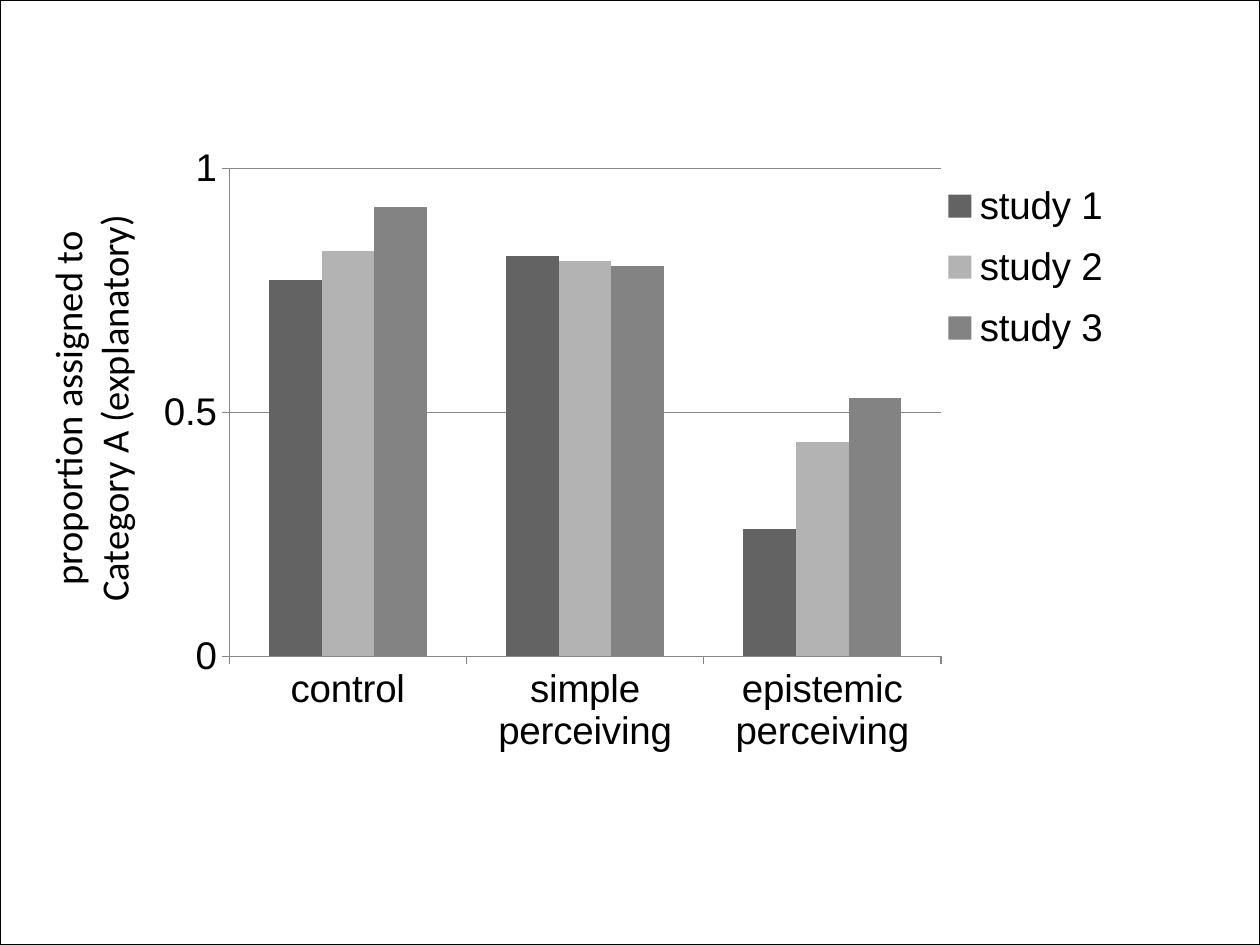
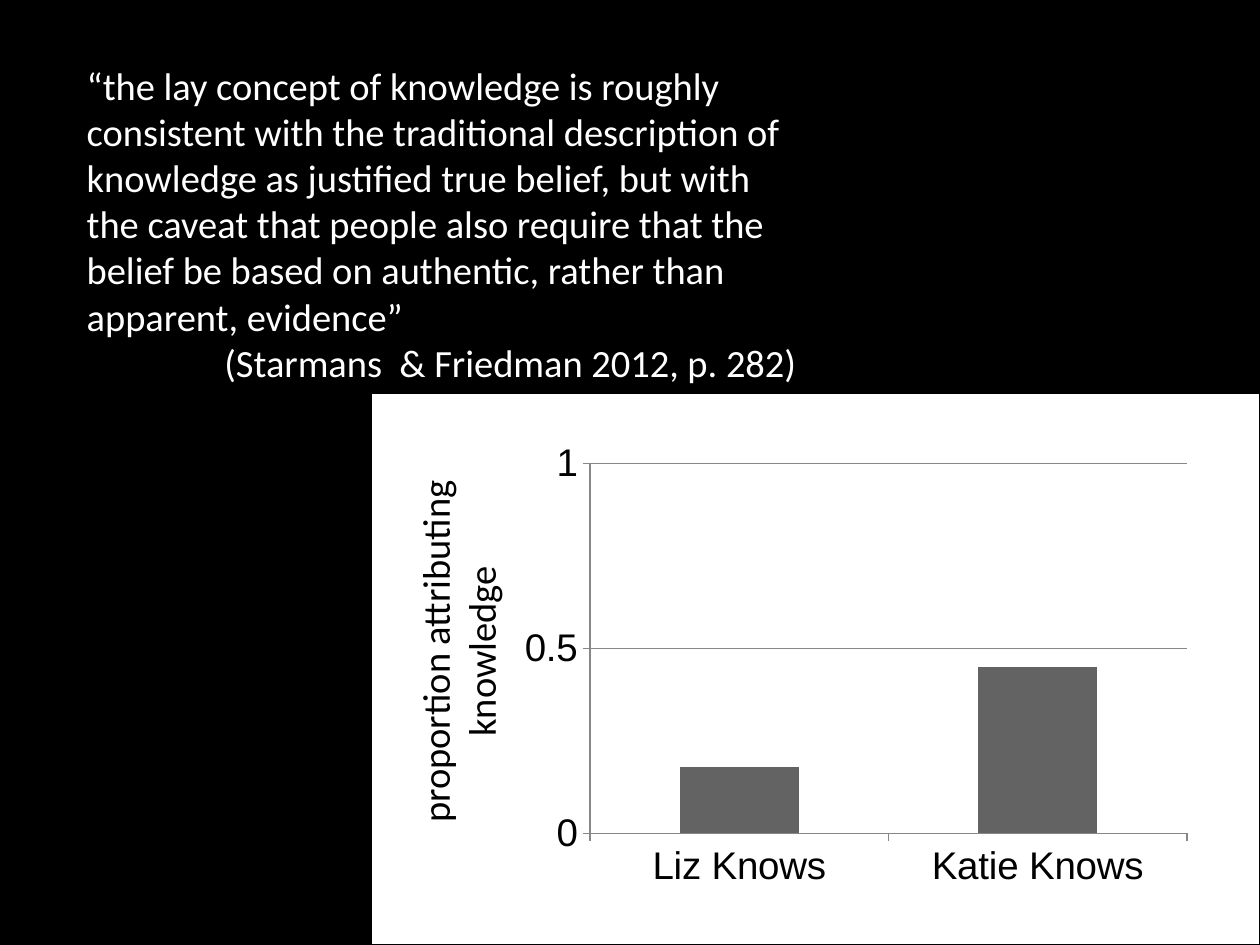
"""Build two slides of column charts on study results about knowledge and perceiving."""
import dataclasses
import typing

import lxml.etree
import pptx
import pptx.chart.data
import pptx.dml.color
import pptx.enum.chart
import pptx.enum.shapes
import pptx.enum.text
import pptx.oxml.ns
import pptx.util

WIDTH, HEIGHT = pptx.util.Inches(10), pptx.util.Inches(7.5)
COLUMNS, ROWS = 100, 75
BLACK, WHITE, AXIS_GRAY = "000000", "FFFFFF", "878787"
SERIES_COLORS = ("636363", "B3B3B3", "838383")
TEXT_SIZE = pptx.util.Pt(22)
TEXT_FONT, CHART_FONT = "Calibri", "Arial"
LEFT = pptx.enum.text.PP_ALIGN.LEFT
CENTER = pptx.enum.text.PP_ALIGN.CENTER
RIGHT = pptx.enum.text.PP_ALIGN.RIGHT


class Area(typing.NamedTuple):
    """A block on the slide grid, in columns and rows."""
    column: float
    row: float
    columns: float
    rows: float

    def place(self) -> tuple[int, int, int, int]:
        """Return left, top, width and height as slide lengths."""
        across, down = WIDTH / COLUMNS, HEIGHT / ROWS
        return (round(self.column * across), round(self.row * down),
                round(self.columns * across), round(self.rows * down))


class Share(typing.NamedTuple):
    """A block inside a chart, as shares of its size."""
    x: float
    y: float
    w: float
    h: float


class Line(typing.NamedTuple):
    """A paragraph and its alignment."""
    text: str
    alignment: pptx.enum.text.PP_ALIGN


@dataclasses.dataclass(frozen=True)
class ChartPanel:
    """A column chart on a white panel with a turned axis label."""
    panel: Area
    area: Area
    plot: Share
    label: str
    label_area: Area
    categories: tuple[str, ...]
    series: dict[str, tuple[float, ...]]
    legend: Share | None = None


STUDIES = ChartPanel(
    panel=Area(0, 0, COLUMNS, ROWS),
    area=Area(11.4, 10.7, 80, 50),
    plot=Share(0.085, 0.053, 0.706, 0.775),
    label="proportion assigned to Category A (explanatory)",
    label_area=Area(-11.3, 28.2, 37, 8.4),
    categories=("control", "simple perceiving", "epistemic perceiving"),
    series={"study 1": (0.77, 0.82, 0.26),
            "study 2": (0.83, 0.81, 0.44),
            "study 3": (0.92, 0.8, 0.53)},
    legend=Share(0.79, 0.05, 0.17, 0.32),
)
KNOWERS = ChartPanel(
    panel=Area(29.5, 31.2, 70.5, 43.8),
    area=Area(40.6, 34.4, 54.7, 36.9),
    plot=Share(0.114, 0.064, 0.866, 0.796),
    label="proportion attributing knowledge",
    label_area=Area(19.8, 47.5, 33.1, 8.4),
    categories=("Liz Knows", "Katie Knows"),
    series={"Series 1": (0.18, 0.45)},
)
QUOTE_AREA = Area(5.9, 4.4, 58.3, 26.9)
QUOTE = (
    Line("“the lay concept of knowledge is roughly consistent with the traditional "
         "description of knowledge as justified true belief, but with the caveat that "
         "people also require that the belief be based on authentic, rather than "
         "apparent, evidence”", LEFT),
    Line("(Starmans  & Friedman 2012, p. 282)", RIGHT),
)


def color(value: str) -> pptx.dml.color.RGBColor:
    """Turn a hex string into a colour."""
    return pptx.dml.color.RGBColor.from_string(value)


def add_page(deck):
    """Add a blank page with a black background."""
    page = deck.slides.add_slide(deck.slide_layouts[6])
    page.background.fill.solid()
    page.background.fill.fore_color.rgb = color(BLACK)
    return page


def add_panel(page, area: Area) -> None:
    """Draw a white panel with a thin black outline."""
    panel = page.shapes.add_shape(pptx.enum.shapes.MSO_SHAPE.RECTANGLE, *area.place())
    panel.shadow.inherit = False
    panel.fill.solid()
    panel.fill.fore_color.rgb = color(WHITE)
    panel.line.color.rgb = color(BLACK)
    panel.line.width = pptx.util.Pt(0.75)


def add_text(page, area: Area, lines: typing.Iterable[Line], ink: str,
             rotation: float = 0) -> None:
    """Add a wrapping text box with one paragraph per line."""
    box = page.shapes.add_textbox(*area.place())
    box.rotation = rotation
    frame = box.text_frame
    frame.word_wrap = True
    frame.auto_size = pptx.enum.text.MSO_AUTO_SIZE.SHAPE_TO_FIT_TEXT
    for index, line in enumerate(lines):
        para = frame.add_paragraph() if index else frame.paragraphs[0]
        para.text = line.text
        para.alignment = line.alignment
        para.font.name = TEXT_FONT
        para.font.size = TEXT_SIZE
        para.font.color.rgb = color(ink)


def fix_layout(parent, index: int, share: Share, inner: bool = False) -> None:
    """Give a chart part a fixed place inside the chart."""
    qn = pptx.oxml.ns.qn
    for old in parent.findall(qn("c:layout")):
        parent.remove(old)
    layout = lxml.etree.Element(qn("c:layout"))
    manual = lxml.etree.SubElement(layout, qn("c:manualLayout"))
    settings = {"layoutTarget": "inner"} if inner else {}
    settings |= {"xMode": "edge", "yMode": "edge"}
    settings |= {name: str(value) for name, value in share._asdict().items()}
    for name, value in settings.items():
        lxml.etree.SubElement(manual, qn(f"c:{name}")).set("val", value)
    parent.insert(index, layout)


def style_axes(chart) -> None:
    """Scale the value axis from 0 to 1 and draw gray axes and gridlines."""
    values = chart.value_axis
    values.minimum_scale, values.maximum_scale, values.major_unit = 0, 1, 0.5
    values.has_major_gridlines = True
    values.tick_labels.number_format = "General"
    values.tick_labels.number_format_is_linked = False
    for axis in (chart.category_axis, values):
        axis.major_tick_mark = pptx.enum.chart.XL_TICK_MARK.OUTSIDE
        axis.minor_tick_mark = pptx.enum.chart.XL_TICK_MARK.NONE
    for part in (chart.category_axis, values, values.major_gridlines):
        part.format.line.color.rgb = color(AXIS_GRAY)
        part.format.line.width = pptx.util.Pt(0.75)


def add_chart(page, content: ChartPanel) -> None:
    """Add the column chart of a panel."""
    data = pptx.chart.data.CategoryChartData()
    data.categories = content.categories
    for name, values in content.series.items():
        data.add_series(name, values)
    kind = pptx.enum.chart.XL_CHART_TYPE.COLUMN_CLUSTERED
    chart = page.shapes.add_chart(kind, *content.area.place(), data).chart
    chart.has_title = False
    chart.font.name = CHART_FONT
    chart.font.size = TEXT_SIZE
    chart.font.color.rgb = color(BLACK)
    plot = chart.plots[0]
    plot.gap_width = 150
    plot.overlap = 0
    plot.vary_by_categories = False
    for series, shade in zip(plot.series, SERIES_COLORS):
        series.format.fill.solid()
        series.format.fill.fore_color.rgb = color(shade)
    style_axes(chart)
    plot_area = chart.element.find(".//" + pptx.oxml.ns.qn("c:plotArea"))
    fix_layout(plot_area, 0, content.plot, inner=True)
    chart.has_legend = content.legend is not None
    if content.legend:
        chart.legend.position = pptx.enum.chart.XL_LEGEND_POSITION.RIGHT
        chart.legend.include_in_layout = False
        legend = chart.element.find(".//" + pptx.oxml.ns.qn("c:legend"))
        fix_layout(legend, 1, content.legend)


def add_chart_panel(page, content: ChartPanel) -> None:
    """Draw a panel, its chart and its turned axis label."""
    add_panel(page, content.panel)
    add_chart(page, content)
    add_text(page, content.label_area, [Line(content.label, CENTER)], BLACK, rotation=270)


def main() -> None:
    """Build and save the deck."""
    deck = pptx.Presentation()
    deck.slide_width, deck.slide_height = WIDTH, HEIGHT
    add_chart_panel(add_page(deck), STUDIES)
    page = add_page(deck)
    add_chart_panel(page, KNOWERS)
    add_text(page, QUOTE_AREA, QUOTE, WHITE)
    deck.save("out.pptx")


if __name__ == "__main__":
    main()
